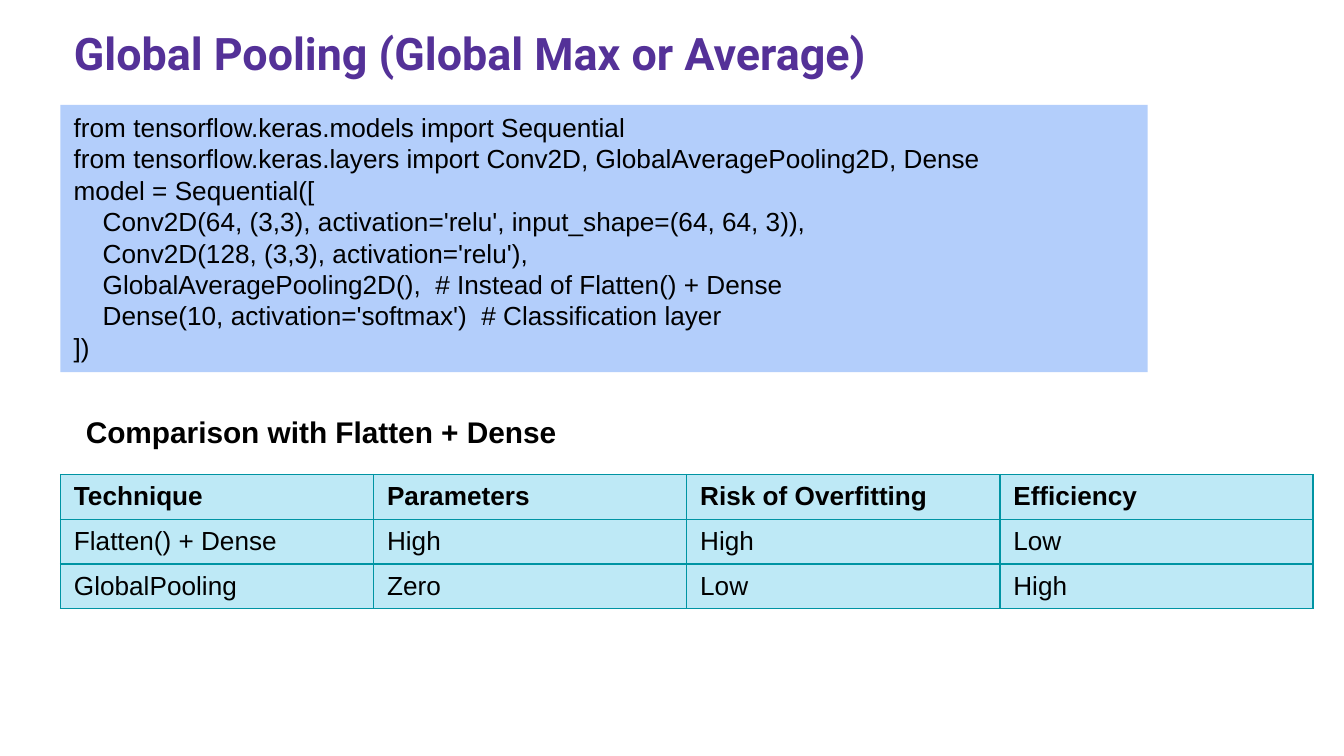
import pptx
import pptx.dml.color
import pptx.enum.shapes
import pptx.enum.text
import pptx.oxml
import pptx.oxml.ns
import pptx.util
from pptx.util import Inches

PURPLE = pptx.dml.color.RGBColor(0x54, 0x31, 0x98)
BLACK = pptx.dml.color.RGBColor(0, 0, 0)
CODE_BLUE = pptx.dml.color.RGBColor(0xB3, 0xCE, 0xFB)
CELL_CYAN = pptx.dml.color.RGBColor(0xBE, 0xE9, 0xF6)
BORDER_TEAL = pptx.dml.color.RGBColor(0x00, 0x94, 0xA3)

CODE = """from tensorflow.keras.models import Sequential
from tensorflow.keras.layers import Conv2D, GlobalAveragePooling2D, Dense
model = Sequential([
    Conv2D(64, (3,3), activation='relu', input_shape=(64, 64, 3)),
    Conv2D(128, (3,3), activation='relu'),
    GlobalAveragePooling2D(),  # Instead of Flatten() + Dense
    Dense(10, activation='softmax')  # Classification layer
])"""

COMPARISON = [
    ["Technique", "Parameters", "Risk of Overfitting", "Efficiency"],
    ["Flatten() + Dense", "High", "High", "Low"],
    ["GlobalPooling", "Zero", "Low", "High"],
]


def add_run(paragraph, text, size, bold=False, color=BLACK, font="Arial"):
    paragraph.alignment = pptx.enum.text.PP_ALIGN.LEFT
    run = paragraph.add_run()
    run.text = text
    run.font.name = font
    run.font.size = pptx.util.Pt(size)
    run.font.bold = bold
    run.font.color.rgb = color


def place_title(slide, left, top, width, height):
    title = slide.shapes.title
    title.left, title.top, title.width, title.height = left, top, width, height
    frame = title.text_frame
    frame.auto_size = pptx.enum.text.MSO_AUTO_SIZE.NONE
    frame.vertical_anchor = pptx.enum.text.MSO_ANCHOR.TOP
    frame.margin_left = frame.margin_right = Inches(0.1)
    frame.margin_top = frame.margin_bottom = Inches(0.1)
    add_run(frame.paragraphs[0], "Global Pooling (Global Max or Average)",
            24, True, PURPLE, "Roboto")


def add_code_panel(slide, left, top, width, height):
    panel = slide.shapes.add_shape(
        pptx.enum.shapes.MSO_SHAPE.RECTANGLE, left, top, width, height)
    panel.shadow.inherit = False
    panel.fill.solid()
    panel.fill.fore_color.rgb = CODE_BLUE
    panel.line.fill.background()
    frame = panel.text_frame
    frame.word_wrap = True
    frame.vertical_anchor = pptx.enum.text.MSO_ANCHOR.TOP
    for index, line in enumerate(CODE.split("\n")):
        paragraph = frame.add_paragraph() if index else frame.paragraphs[0]
        paragraph.line_spacing = pptx.util.Pt(16.8)
        add_run(paragraph, line, 14)


def add_table_heading(slide, left, top, width, height):
    frame = slide.shapes.add_textbox(left, top, width, height).text_frame
    frame.word_wrap = True
    add_run(frame.paragraphs[0], "Comparison with Flatten + Dense", 16, True)


def set_borders(cell):
    """Draw all four cell edges; they must come before the cell's fill."""
    properties = cell._tc.get_or_add_tcPr()
    for index, edge in enumerate(("lnL", "lnR", "lnT", "lnB")):
        properties.insert(index, pptx.oxml.parse_xml(
            f'<a:{edge} {pptx.oxml.ns.nsdecls("a")} w="{pptx.util.Pt(0.75)}">'
            f'<a:solidFill><a:srgbClr val="{BORDER_TEAL}"/></a:solidFill>'
            f'</a:{edge}>'))


def add_comparison_table(slide, left, top, width, height):
    rows, columns = len(COMPARISON), len(COMPARISON[0])
    table = slide.shapes.add_table(
        rows, columns, left, top, width, height).table
    for row, texts in enumerate(COMPARISON):
        for column, text in enumerate(texts):
            cell = table.cell(row, column)
            cell.vertical_anchor = pptx.enum.text.MSO_ANCHOR.MIDDLE
            cell.fill.solid()
            cell.fill.fore_color.rgb = CELL_CYAN
            set_borders(cell)
            add_run(cell.text_frame.paragraphs[0], text, 14, bold=row == 0)


def main():
    deck = pptx.Presentation()
    deck.slide_width = Inches(10)
    deck.slide_height = deck.slide_width * 9 // 16
    slide = deck.slides.add_slide(deck.slide_layouts.get_by_name("Title Only"))
    left = Inches(0.45)
    place_title(slide, left, Inches(0.09), Inches(9.11), Inches(0.69))
    add_code_panel(slide, left, Inches(0.78), Inches(8.09), Inches(1.99))
    add_comparison_table(slide, left, Inches(3.53), Inches(9.32), Inches(1))
    add_table_heading(slide, Inches(0.54), Inches(3.03), Inches(5.08), Inches(0.37))
    deck.save("out.pptx")


if __name__ == "__main__":
    main()
